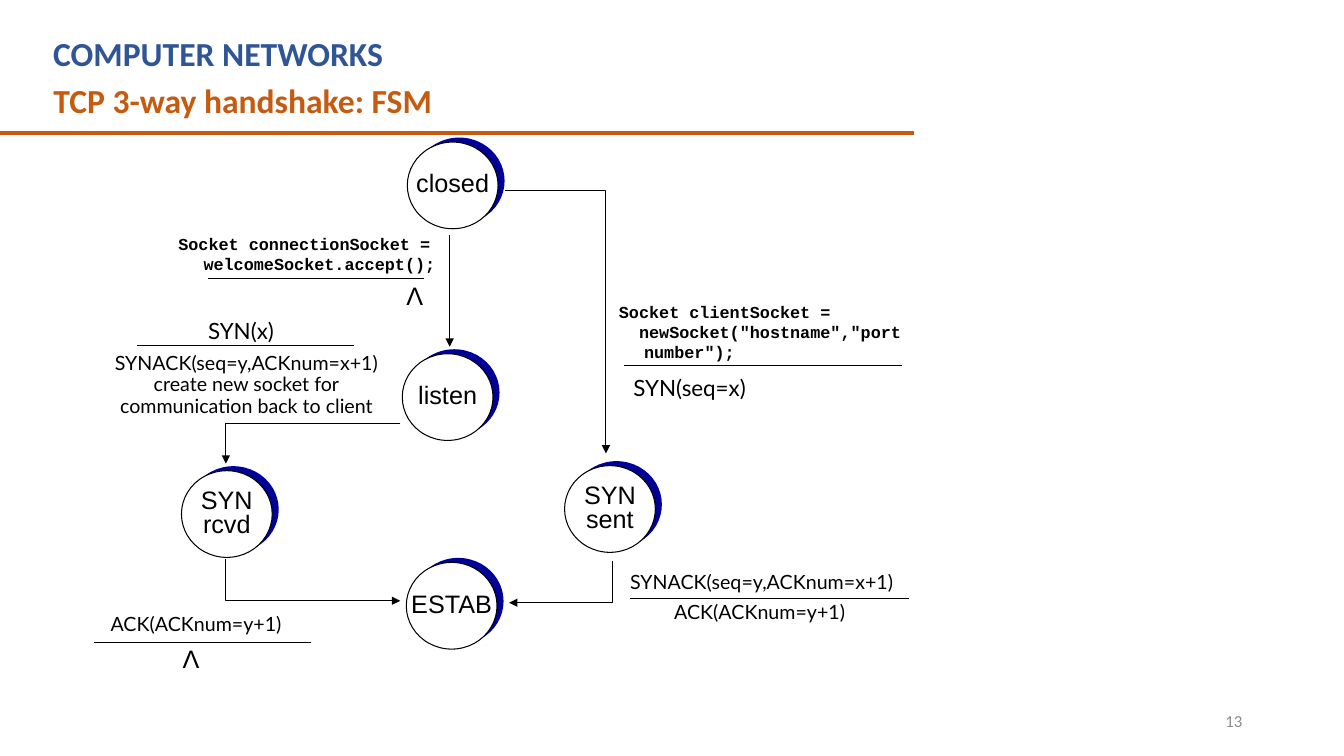
"""Slide with the finite state machine of the TCP three-way handshake."""
from lxml import etree
from pptx import Presentation
from pptx import util as u
from pptx.dml.color import RGBColor
from pptx.enum import shapes, text
from pptx.oxml.ns import qn

BLACK, WHITE = RGBColor(0, 0, 0), RGBColor(255, 255, 255)
NAVY, BLUE = RGBColor(0, 0, 0x99), RGBColor(0x2F, 0x55, 0x97)
ORANGE, GREY = RGBColor(0xC5, 0x5A, 0x11), RGBColor(0x8C, 0x8C, 0x8C)

CELL = u.Inches(0.1)
DISC = (9, 8.6)
DISC_SHIFT = (0.65, -0.45)
LEFT, CENTER, RIGHT = text.PP_ALIGN.LEFT, text.PP_ALIGN.CENTER, text.PP_ALIGN.RIGHT

STYLES = {
    "heading": (dict(name="Calibri", size=u.Pt(24), bold=True), LEFT, 1.0),
    "state": (dict(name="Arial", size=u.Pt(18), bold=False), CENTER, 0.8),
    "symbol": (dict(name="Arial", size=u.Pt(18), bold=False), CENTER, 1.0),
    "code": (dict(name="Courier New", size=u.Pt(12), bold=True), LEFT, 1.0),
    "event": (dict(name="Lato", size=u.Pt(16), bold=False), CENTER, 1.0),
    "action": (dict(name="Lato", size=u.Pt(14), bold=False), CENTER, 0.9),
    "number": (dict(name="Calibri", size=u.Pt(12), bold=False), RIGHT, 1.0),
}

TITLE = (["TCP 3-way handshake: FSM"], (4.3, 7.4, 87.5, 5))
COURSE = (["COMPUTER NETWORKS"], (4.3, 2.8, 82, 5))
PAGE = (["13"], (94.2, 69.5, 30, 4))

STATES = [
    (["closed"], (40.4, 14.1)),
    (["listen"], (39.9, 35.1)),
    (["SYN", "rcvd"], (18, 46.7)),
    (["SYN", "sent"], (56, 46.2)),
    (["ESTAB"], (40.3, 55.8)),
]

LABELS = [
    ("code", ["Socket connectionSocket = welcomeSocket.accept();"], (16.7, 22.7, 28.2, 5)),
    ("symbol", ["Λ"], (39.3, 27.3, 3.7, 4)),
    ("code", ["Socket clientSocket =", '  newSocket("hostname","port number");'],
     (60.4, 29.4, 31.6, 7)),
    ("event", ["SYN(seq=x)"], (61.5, 36.6, 13.8, 3.7)),
    ("event", ["SYN(x)"], (19.5, 31, 8.8, 3.7)),
    ("action", ["SYNACK(seq=y,ACKnum=x+1)", "create new socket for",
                "communication back to client"], (10.2, 34.6, 28.5, 7.4)),
    ("action", ["SYNACK(seq=y,ACKnum=x+1)"], (61.3, 56.3, 28.5, 3.1)),
    ("action", ["ACK(ACKnum=y+1)"], (65.8, 59.3, 19.1, 3.1)),
    ("action", ["ACK(ACKnum=y+1)"], (9.9, 60.5, 19.1, 3.1)),
    ("symbol", ["Λ"], (17.1, 63.3, 3.7, 4)),
]

RULES = [(20.6, 42.1, 27.6), (13.6, 35.1, 34.3), (61.9, 89.5, 36.3),
         (62.5, 90.2, 59.4), (9.3, 30.8, 63.7)]

LISTEN_ARROW = ((44.6, 23.3), (44.6, 34.4))
BENT_ARROWS = [
    [(50.1, 18.9), (60.1, 18.9), (60.1, 45)],
    [(39.7, 42), (22.4, 42), (22.4, 46)],
    [(22.4, 55.5), (22.4, 59.6), (39.7, 59.6)],
    [(60.8, 55.7), (60.8, 59.8), (50.5, 59.8)],
]


def grid(cells):
    return [round(c * CELL) for c in cells]


def put(obj, attrs):
    for name, value in attrs.items():
        setattr(obj, name, value)


def write(tf, lines, style, color=BLACK):
    font, align, spacing = STYLES[style]
    for i, line in enumerate(lines):
        p = tf.paragraphs[0] if i == 0 else tf.add_paragraph()
        if style == "code":
            pPr = p._p.get_or_add_pPr()
            pPr.set("marL", str(u.Inches(0.25)))
            pPr.set("indent", str(-u.Inches(0.25)))
        put(p, dict(alignment=align, line_spacing=spacing))
        r = p.add_run()
        r.text = line
        put(r.font, font)
        r.font.color.rgb = color


def label(s, lines, box, style, color=BLACK, wrap=False, anchor=text.MSO_ANCHOR.TOP):
    tf = s.shapes.add_textbox(*grid(box)).text_frame
    put(tf, dict(word_wrap=wrap, vertical_anchor=anchor))
    write(tf, lines, style, color)


def stroke(sp, color=BLACK, width=0.75, arrow=False):
    sp.line.color.rgb = color
    sp.line.width = u.Pt(width)
    if arrow:
        ln = sp._element.spPr.find(qn("a:ln"))
        etree.SubElement(ln, qn("a:tailEnd"), type="triangle")


def straight(s, start, end, **look):
    sp = s.shapes.add_connector(shapes.MSO_CONNECTOR.STRAIGHT, *grid(start + end))
    stroke(sp, **look)
    etree.SubElement(sp._element.spPr, qn("a:effectLst"))


def bent(s, points):
    first, *rest = [tuple(grid(pt)) for pt in points]
    builder = s.shapes.build_freeform(*first)
    builder.add_line_segments(rest, close=False)
    sp = builder.convert_to_shape()
    sp.shadow.inherit = False
    sp.fill.background()
    stroke(sp, arrow=True)


def disc(s, corner, fill):
    sp = s.shapes.add_shape(shapes.MSO_SHAPE.OVAL, *grid(corner + DISC))
    sp.shadow.inherit = False
    sp.fill.solid()
    sp.fill.fore_color.rgb = fill
    return sp


def state(s, lines, corner):
    behind = disc(s, tuple(c + d for c, d in zip(corner, DISC_SHIFT)), NAVY)
    behind.line.fill.background()
    front = disc(s, corner, WHITE)
    stroke(front)
    tf = front.text_frame
    put(tf, dict(word_wrap=False, vertical_anchor=text.MSO_ANCHOR.MIDDLE,
                 margin_left=0, margin_right=0, margin_top=0, margin_bottom=0))
    write(tf, lines, "state")


def main():
    prs = Presentation()
    put(prs, dict(slide_width=u.Inches(13.33), slide_height=u.Inches(7.5)))
    s = prs.slides.add_slide(prs.slide_layouts[5])

    lines, box = TITLE
    title = s.shapes.title
    put(title, dict(zip(("left", "top", "width", "height"), grid(box))))
    put(title.text_frame, dict(word_wrap=True, vertical_anchor=text.MSO_ANCHOR.TOP,
                               auto_size=text.MSO_AUTO_SIZE.NONE))
    write(title.text_frame, lines, "heading", ORANGE)
    label(s, *COURSE, "heading", BLUE, wrap=True)
    straight(s, (0, 13.2), (90.7, 13.2), color=ORANGE, width=3)

    for lines, corner in STATES:
        state(s, lines, corner)
    for x1, x2, y in RULES:
        straight(s, (x1, y), (x2, y))
    straight(s, *LISTEN_ARROW, arrow=True)
    for points in BENT_ARROWS:
        bent(s, points)
    for style, lines, box in LABELS:
        label(s, lines, box, style, wrap=style == "code")
    label(s, *PAGE, "number", GREY, wrap=True, anchor=text.MSO_ANCHOR.MIDDLE)

    prs.save("out.pptx")


if __name__ == "__main__":
    main()
